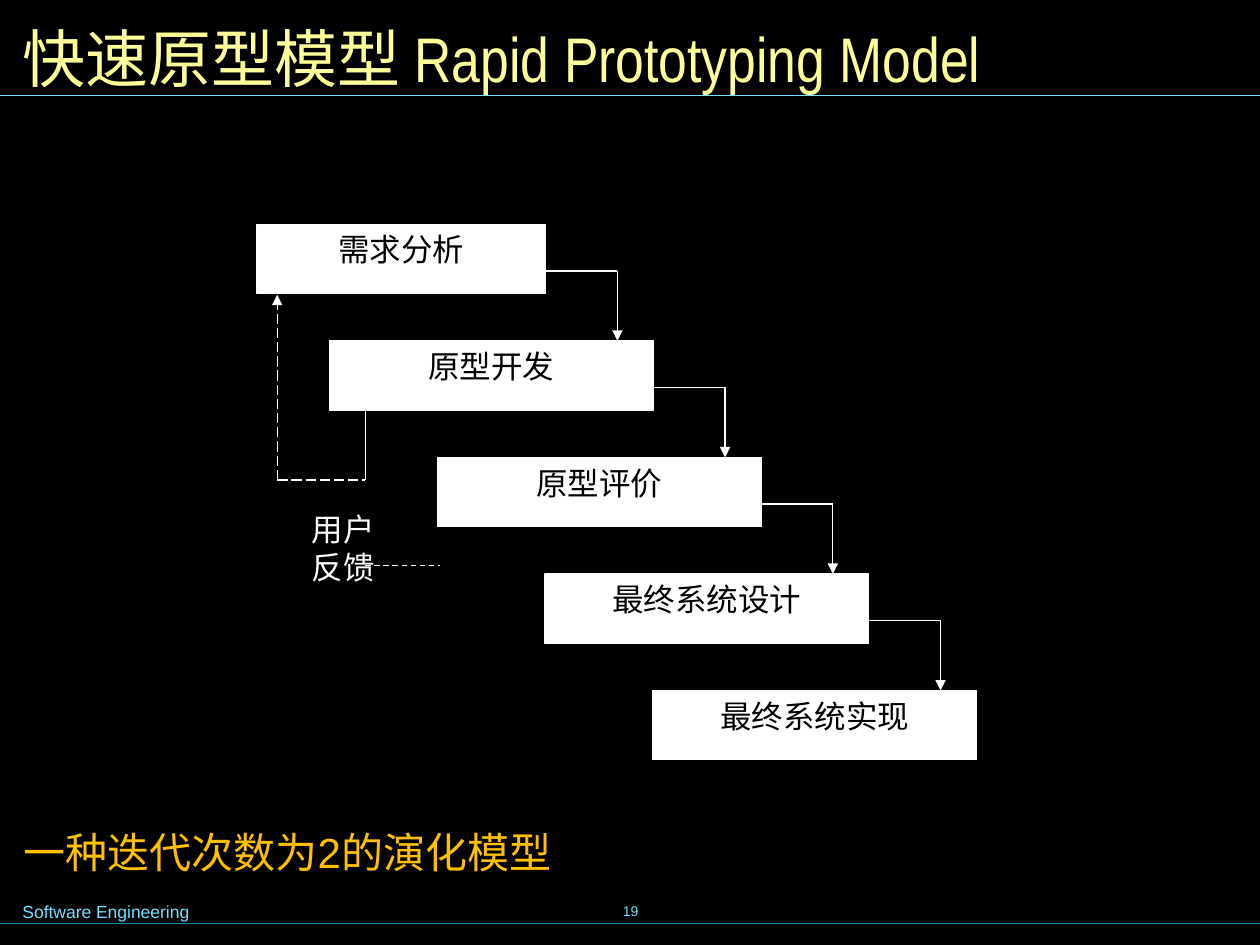
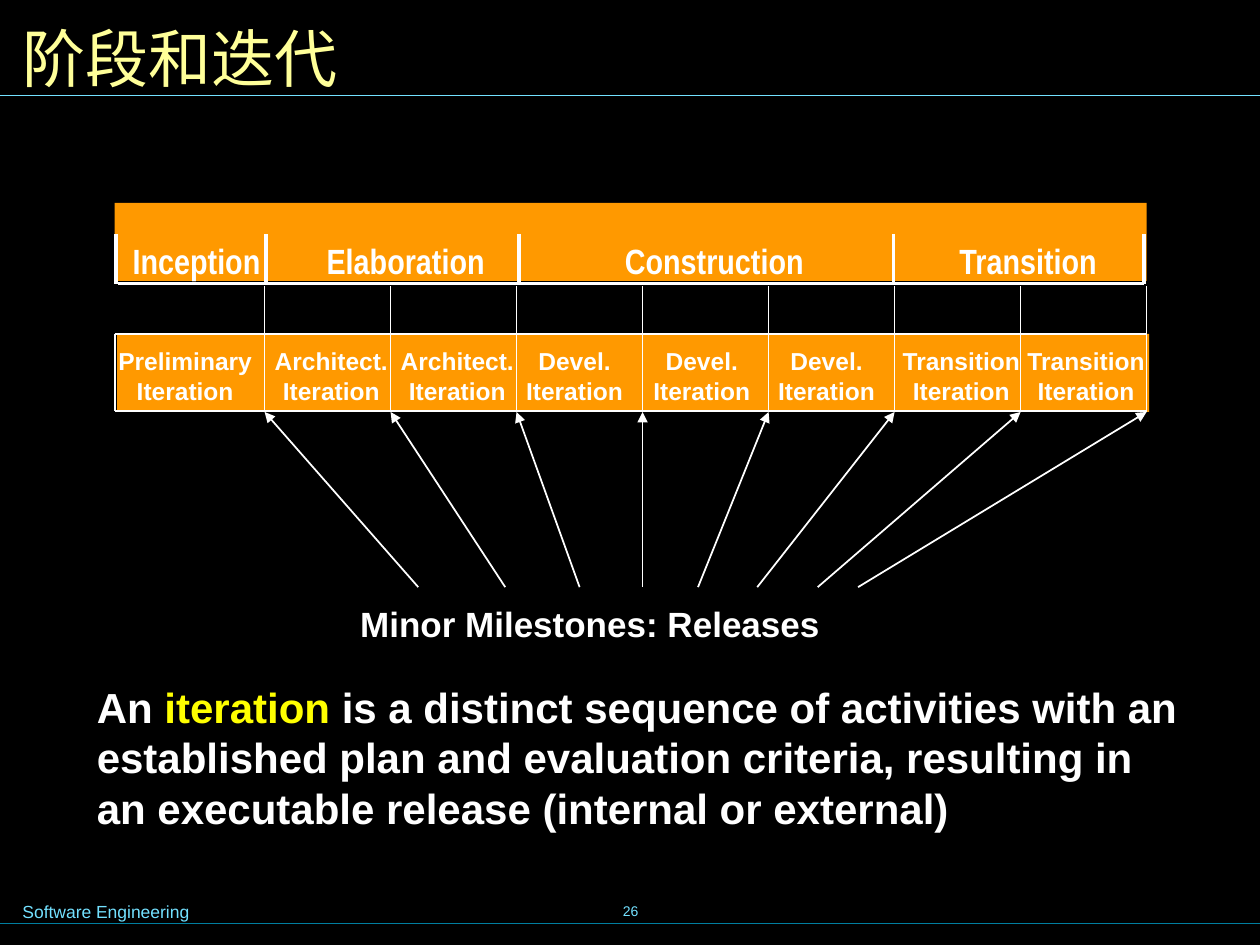
"""Build two slides on the rapid prototyping model and on phases and iterations."""
from lxml.etree import SubElement
from pptx import Presentation
from pptx.dml.color import RGBColor
from pptx.enum.dml import MSO_LINE
from pptx.enum.shapes import MSO_CONNECTOR, MSO_SHAPE
from pptx.enum.text import MSO_ANCHOR, MSO_AUTO_SIZE, PP_ALIGN
from pptx.oxml.ns import qn
from pptx.util import Inches, Pt


class Theme:
    black = RGBColor.from_string("000000")
    white = RGBColor.from_string("FFFFFF")
    sky = RGBColor.from_string("73E1FF")
    teal = RGBColor.from_string("007E9F")
    cream = RGBColor.from_string("FFFF99")
    yellow = RGBColor.from_string("FFFF00")
    amber = RGBColor.from_string("FFC000")
    orange = RGBColor.from_string("FF9900")
    title = {"name": "Arial Narrow", "size": Pt(36), "bold": False}
    phase = {"name": "Arial Narrow", "size": Pt(20), "bold": True}
    step = {"name": "Times New Roman", "size": Pt(18)}
    note = {"name": "Arial", "size": Pt(24)}
    body = {"name": "Arial", "size": Pt(24), "bold": True}
    label = {"name": "Arial", "size": Pt(20), "bold": True}
    cell = {"name": "Arial", "size": Pt(14), "bold": True}
    foot = {"name": "Arial", "size": Pt(10)}
    page = {"name": "Arial", "size": Pt(8)}


def write(shape, rows, look, color, align=PP_ALIGN.LEFT, wrap=True, anchor=MSO_ANCHOR.TOP):
    frame = shape.text_frame
    layout = {"word_wrap": wrap, "vertical_anchor": anchor, "auto_size": MSO_AUTO_SIZE.NONE}
    for key, value in layout.items():
        setattr(frame, key, value)
    for i, row in enumerate(rows):
        para = frame.add_paragraph() if i else frame.paragraphs[0]
        para.alignment = align
        for text, tint in [(row, color)] if isinstance(row, str) else row:
            run = para.add_run()
            run.text = text
            for key, value in look.items():
                setattr(run.font, key, value)
            run.font.color.rgb = tint


def draw(slide, start, end, width=0.75, color=Theme.white, dash=None, arrow=False):
    line = slide.shapes.add_connector(MSO_CONNECTOR.STRAIGHT, *map(Inches, start + end))
    line.line.color.rgb = color
    line.line.width = Pt(width)
    if dash:
        line.line.dash_style = dash
    if arrow:
        SubElement(line.line._get_or_add_ln(), qn("a:tailEnd"), type="triangle")
    SubElement(line._element.spPr, qn("a:effectLst"))


deck = Presentation()
deck.slide_width, deck.slide_height = Inches(10), Inches(7.5)

slides = []
for head, page in (("快速原型模型 Rapid Prototyping Model", "19"), ("阶段和迭代", "26")):
    slide = deck.slides.add_slide(deck.slide_layouts[5])
    slides.append(slide)
    slide.background.fill.solid()
    slide.background.fill.fore_color.rgb = Theme.black
    draw(slide, (0, 7.33), (10, 7.33), color=Theme.teal)
    draw(slide, (0, 0.76), (10, 0.76), color=Theme.sky)
    title = slide.shapes.title
    for key, value in {"left": 0.08, "top": 0.08, "width": 9.84, "height": 0.75}.items():
        setattr(title, key, Inches(value))
    write(title, [head], Theme.title, Theme.cream, anchor=MSO_ANCHOR.MIDDLE)
    box = slide.shapes.add_textbox(*map(Inches, (0.08, 7.1, 2.95, 0.27)))
    write(box, ["Software Engineering"], Theme.foot, Theme.sky)
    box = slide.shapes.add_textbox(*map(Inches, (3.42, 6.98, 3.17, 0.5)))
    write(box, [page], Theme.page, Theme.sky, PP_ALIGN.CENTER, False, MSO_ANCHOR.MIDDLE)

model, plan = slides

steps = ["需求分析", "原型开发", "原型评价", "最终系统设计", "最终系统实现"]
drop = 0.925
for i, step in enumerate(steps):
    top, right = 1.78 + drop * i, 4.33 + 0.855 * i
    width = 2.57 if i else 2.29
    box = model.shapes.add_shape(MSO_SHAPE.RECTANGLE, *map(Inches, (right - width, top, width, 0.55)))
    box.shadow.inherit = False
    box.fill.solid()
    box.fill.fore_color.rgb = box.line.color.rgb = Theme.white
    box.line.width = Pt(0.75)
    write(box, [step], Theme.step, Theme.black, PP_ALIGN.CENTER)
    if i < len(steps) - 1:
        bend = (right + 0.57, top + 0.37)
        draw(model, (right, top + 0.37), bend)
        draw(model, bend, (right + 0.57, top + drop), arrow=True)

draw(model, (2.9, 3.81), (2.9, 3.26))
draw(model, (2.2, 3.81), (2.9, 3.81), dash=MSO_LINE.LONG_DASH)
draw(model, (2.2, 3.81), (2.2, 2.34), dash=MSO_LINE.LONG_DASH, arrow=True)
draw(model, (2.9, 4.49), (3.49, 4.49), dash=MSO_LINE.DASH)
box = model.shapes.add_textbox(*map(Inches, (2.01, 4, 1.43, 0.92)))
write(box, ["用户", "反馈"], Theme.step, Theme.white, PP_ALIGN.CENTER)
box = model.shapes.add_textbox(*map(Inches, (0.09, 6.51, 4.6, 0.5)))
write(box, ["一种迭代次数为2的演化模型"], Theme.note, Theme.amber)

for left, top in ((0.91, 1.61), (0.93, 2.65)):
    band = plan.shapes.add_shape(MSO_SHAPE.RECTANGLE, *map(Inches, (left, top, 8.19, 0.62)))
    band.shadow.inherit = False
    band.fill.solid()
    band.fill.fore_color.rgb = Theme.orange
    band.line.fill.background()

phases = [("Inception", 1.56), ("Elaboration", 3.22), ("Construction", 5.67), ("Transition", 8.16)]
for name, mid in phases:
    box = plan.shapes.add_textbox(*map(Inches, (mid - 0.81, 1.85, 1.62, 0.43)))
    write(box, [name], Theme.phase, Theme.white, PP_ALIGN.CENTER, False)

cells = [("Preliminary", 1.47), ("Architect.", 2.63), ("Architect.", 3.63), ("Devel.", 4.56),
         ("Devel.", 5.57), ("Devel.", 6.56), ("Transition", 7.63), ("Transition", 8.62)]
for name, mid in cells:
    box = plan.shapes.add_textbox(*map(Inches, (mid - 0.62, 2.7, 1.24, 0.56)))
    write(box, [name, "Iteration"], Theme.cell, Theme.white, PP_ALIGN.CENTER, False)

for y in (2.65, 3.26):
    draw(plan, (0.91, y), (9.1, y), 1)
draw(plan, (0.91, 2.65), (0.91, 3.26), 1)
draw(plan, (0.94, 2.25), (9.08, 2.25), 2)
for x in (0.92, 2.11, 4.12, 7.09, 9.08):
    draw(plan, (x, 2.25), (x, 1.86), 2)
for i, start in enumerate((3.32, 4.01, 4.6, 5.1, 5.54, 6.01, 6.49, 6.81)):
    edge = 2.1 + i
    draw(plan, (edge, 3.26), (edge, 2.27), 1)
    draw(plan, (start, 4.66), (edge, 3.27), 1, arrow=True)

box = plan.shapes.add_textbox(*map(Inches, (2.76, 4.73, 4.5, 0.44)))
write(box, ["Minor Milestones: Releases"], Theme.label, Theme.white)
box = plan.shapes.add_textbox(*map(Inches, (0.67, 5.36, 8.83, 1.3)))
text = [("An ", Theme.white), ("iteration", Theme.yellow),
        (" is a distinct sequence of activities with an established plan and evaluation "
         "criteria, resulting in an executable release (internal or external)", Theme.white)]
write(box, [text], Theme.body, Theme.white)

deck.save("out.pptx")
